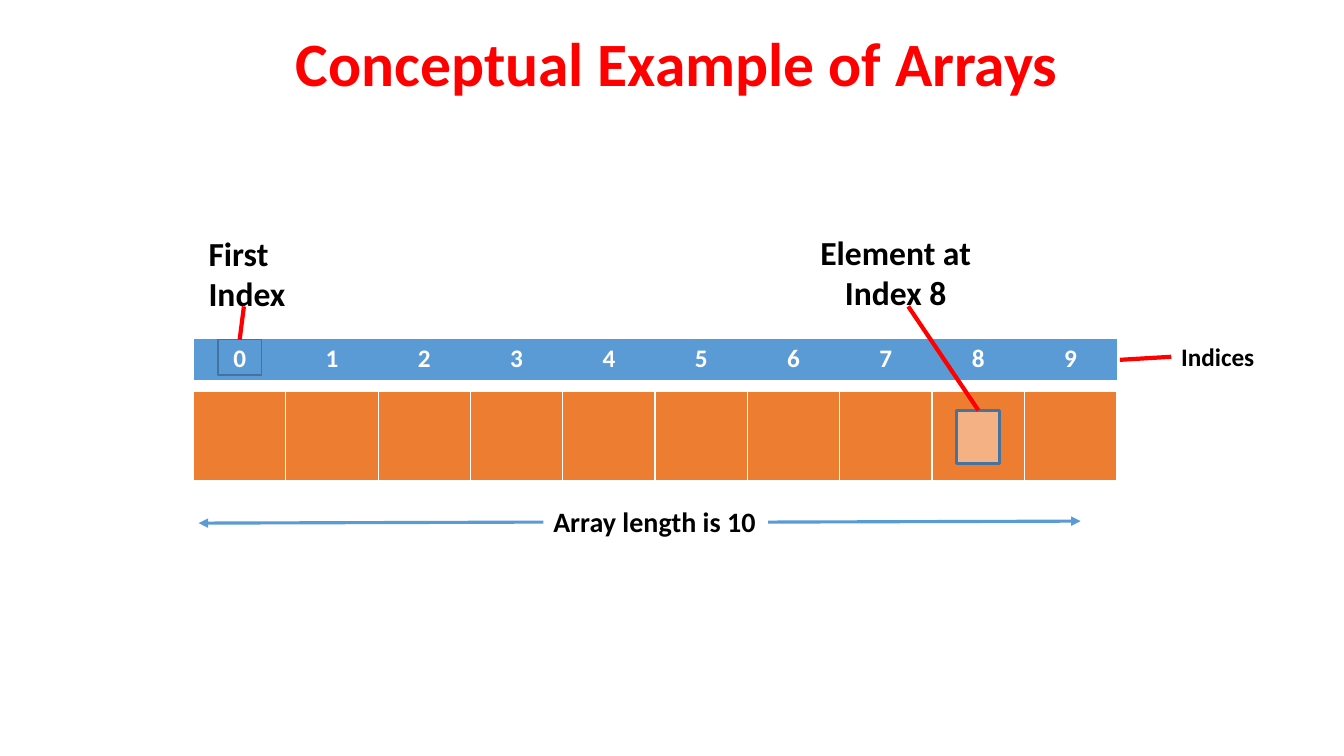
from dataclasses import dataclass

from lxml.etree import SubElement
from pptx import Presentation
from pptx.dml.color import RGBColor
from pptx.enum.shapes import MSO_CONNECTOR, MSO_SHAPE
from pptx.enum.text import MSO_ANCHOR, MSO_AUTO_SIZE, PP_ALIGN
from pptx.oxml.ns import qn
from pptx.util import Inches, Pt


@dataclass(frozen=True)
class Theme:
    font: str = "Calibri"
    red: str = "FF0000"
    blue: str = "5B9BD5"
    navy: str = "43739E"
    fill: str = "ED7D31"
    peach: str = "F4B183"
    white: str = "FFFFFF"
    black: str = "000000"
    title: int = 44
    head: int = 24
    note: int = 20
    small: int = 18


THEME = Theme()
WIDE, HIGH = Inches(13.333), Inches(7.5)
COUNT = 10                  # array length
LEFT, CELL = 14.4, 6.87     # array start and cell width, in percent of the slide
MARK = 3.22                 # width of the marker boxes
TOP, LEFT_SIDE, RIGHT_SIDE = 0, 1, 3
NO_STYLE = "{2D5ABB26-0587-4C30-8999-92F81FD0307C}"


def across(share):
    return round(WIDE * share / 100)


def down(share):
    return round(HIGH * share / 100)


def area(left, top, width, height):
    return across(left), down(top), across(width), down(height)


def style(frame, size, color):
    for para in frame.paragraphs:
        for run in para.runs:
            font = run.font
            font.name, font.size, font.bold = THEME.font, Pt(size), True
            font.color.rgb = RGBColor.from_string(color)


def add_title(slide, text):
    title = slide.shapes.title
    title.left, title.top, title.width, title.height = area(5.4, 0.53, 90, 16.67)
    frame = title.text_frame
    frame.text = text
    frame.vertical_anchor = MSO_ANCHOR.MIDDLE
    frame.paragraphs[0].alignment = PP_ALIGN.CENTER
    frame.paragraphs[0].line_spacing = 0.9
    style(frame, THEME.title, THEME.red)


def add_edges(cell):
    props = cell._tc.get_or_add_tcPr()
    for side, width in (("L", 1), ("R", 1), ("T", 1), ("B", 3)):
        edge = SubElement(props, qn(f"a:ln{side}"), w=str(Pt(width)))
        SubElement(SubElement(edge, qn("a:solidFill")), qn("a:srgbClr"), val=THEME.white)


def add_row(slide, top, height, color, texts=(), edges=False):
    frame = slide.shapes.add_table(1, COUNT, *area(LEFT, top, CELL * COUNT, height))
    table = frame.table
    table._tbl.tblPr.find(qn("a:tableStyleId")).text = NO_STYLE
    for col in table.columns:
        col.width = across(CELL)
    for cell in table.iter_cells():
        if edges:
            add_edges(cell)
        cell.fill.solid()
        cell.fill.fore_color.rgb = RGBColor.from_string(color)
    for cell, text in zip(table.iter_cells(), texts):
        cell.text_frame.text = text
        cell.text_frame.paragraphs[0].alignment = PP_ALIGN.CENTER
        style(cell.text_frame, THEME.small, THEME.white)


def add_mark(slide, index, top, height, weight, color=None):
    left = LEFT + CELL * (index + 0.5) - MARK / 2
    mark = slide.shapes.add_shape(MSO_SHAPE.RECTANGLE, *area(left, top, MARK, height))
    mark.shadow.inherit = False
    if color:
        mark.fill.solid()
        mark.fill.fore_color.rgb = RGBColor.from_string(color)
    else:
        mark.fill.background()
    mark.line.color.rgb = RGBColor.from_string(THEME.navy)
    mark.line.width = Pt(weight)
    return mark


def add_label(slide, text, place, size):
    label = slide.shapes.add_textbox(*area(*place))
    frame = label.text_frame
    frame.text = text
    frame.word_wrap = False
    frame.auto_size = MSO_AUTO_SIZE.SHAPE_TO_FIT_TEXT
    style(frame, size, THEME.black)
    return label


def add_line(slide, start, end, color, weight):
    points = across(start[0]), down(start[1]), across(end[0]), down(end[1])
    line = slide.shapes.add_connector(MSO_CONNECTOR.STRAIGHT, *points)
    line.line.color.rgb = RGBColor.from_string(color)
    line.line.width = Pt(weight)
    SubElement(line.element.spPr, qn("a:effectLst"))
    return line


def add_lead(slide, start, shape, site):
    line = add_line(slide, start, start, THEME.red, 3)
    line.end_connect(shape, site)


def add_arrow(slide, shape, site, end):
    line = add_line(slide, end, end, THEME.blue, 2.25)
    line.begin_connect(shape, site)
    SubElement(line.element.spPr.find(qn("a:ln")), qn("a:tailEnd"), type="triangle")


def main():
    deck = Presentation()
    deck.slide_width, deck.slide_height = WIDE, HIGH
    slide = deck.slides.add_slide(deck.slide_layouts[5])
    add_title(slide, "Conceptual Example of Arrays")

    # Array cells and their indices
    add_row(slide, 51.73, 12, THEME.fill, edges=True)
    add_row(slide, 44.8, 5.47, THEME.blue, [str(n) for n in range(COUNT)])
    first = add_mark(slide, 0, 44.93, 4.67, 1)
    item = add_mark(slide, 8, 54.27, 7.07, 2.25, THEME.peach)

    # Labels
    side = add_label(slide, "Indices", (87.15, 44.53, 6.98, 5.33), THEME.small)
    add_label(slide, "First\nIndex", (14.78, 30.13, 7.28, 12.13), THEME.head)
    name = add_label(slide, "Element at\nIndex 8", (60.3, 30, 13.43, 12.13), THEME.head)
    name.text_frame.paragraphs[1].alignment = PP_ALIGN.CENTER
    size = add_label(slide, "Array length is 10", (40.43, 66.13, 16.73, 5.87), THEME.note)

    # Leader lines and length arrows
    add_lead(slide, (18.15, 40.53), first, TOP)
    add_lead(slide, (67.58, 40.53), item, TOP)
    add_lead(slide, (83.33, 47.6), side, LEFT_SIDE)
    add_arrow(slide, size, RIGHT_SIDE, (80.4, 68.93))
    add_arrow(slide, size, LEFT_SIDE, (14.78, 69.2))

    deck.save("out.pptx")


if __name__ == "__main__":
    main()
